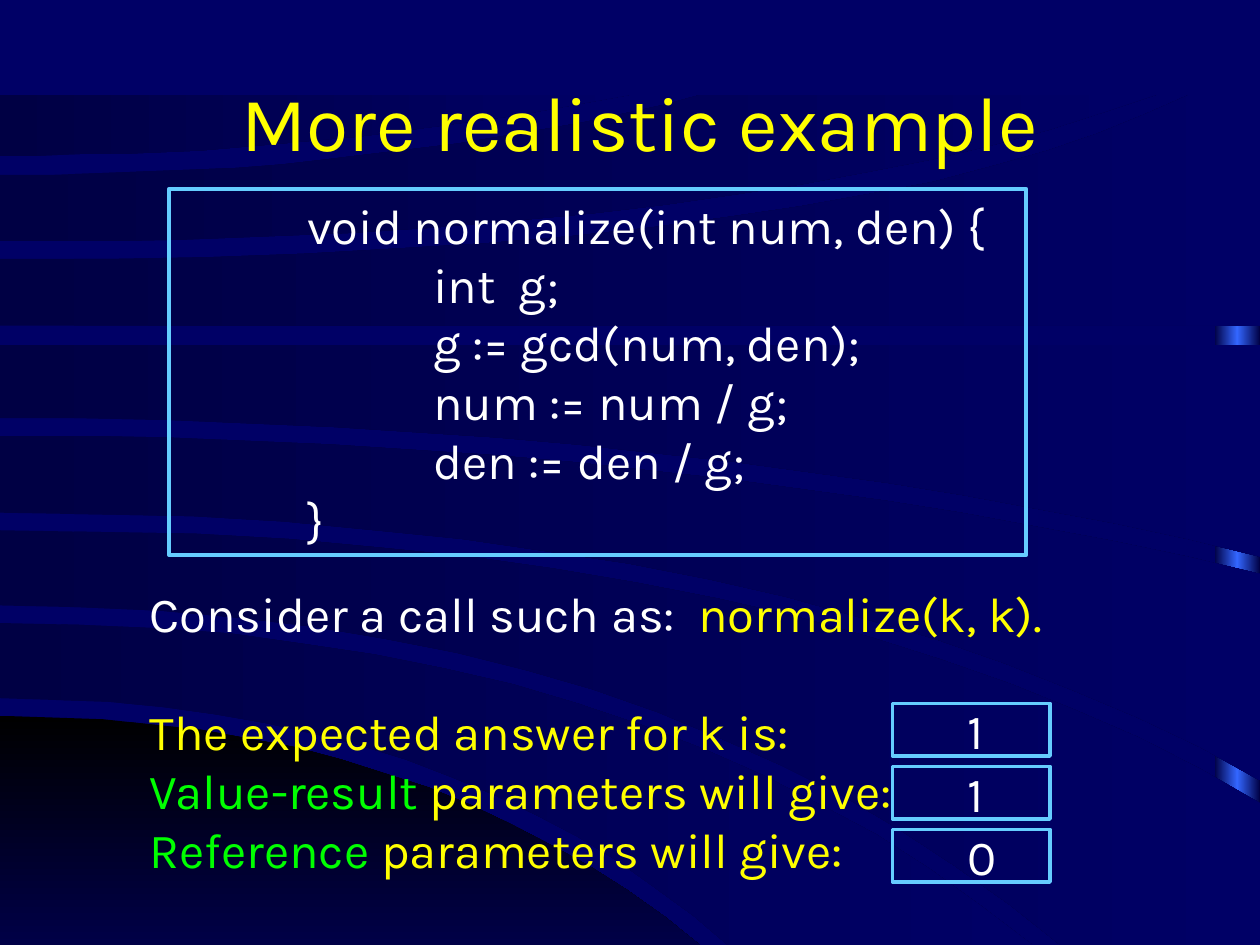
from copy import deepcopy

from pptx import Presentation
from pptx.dml.color import RGBColor
from pptx.enum.shapes import MSO_SHAPE
from pptx.enum.text import MSO_ANCHOR, PP_ALIGN
from pptx.oxml.ns import qn
from pptx.util import Pt

RECTANGLE = MSO_SHAPE.RECTANGLE
TOP, MIDDLE = MSO_ANCHOR.TOP, MSO_ANCHOR.MIDDLE
LEFT, CENTER = PP_ALIGN.LEFT, PP_ALIGN.CENTER

WIDTH, HEIGHT = 720, 540
FONT = "Karla"
NAVY, DARK_NAVY = "000066", "000044"
WHITE, YELLOW, GREEN, SKY = "FFFFFF", "FFFF00", "00FF00", "66CCFF"

# Upper and lower edge of each sweep: start y, x where it bends, end x, end y
HILL = (409, 240, 400, 540), (540, 200, 400, 540)
BANDS = [
    ((356, 365, 590, 540), (399, 256, 416, 540)),
    ((303, 460, 720, 459), (346, 375, 606, 540)),
    ((249, 384, 720, 328), (293, 450, 720, 446)),
    ((197, 360, 720, 197), (239, 390, 720, 318)),
    ((148, 492, 680, 54), (186, 360, 720, 186)),
    ((100, 224, 401, 54), (138, 430, 661, 54)),
    ((54, 180, 361, 54), (89, 186, 361, 54)),
]

CODE = [
    "\tvoid normalize(int num, den) {",
    "\t\tint  g;",
    "\t\tg := gcd(num, den);",
    "\t\tnum := num / g;",
    "\t\tden := den / g;",
    "\t}",
]
CALL = [("Consider a call such as:  ", WHITE), ("normalize(k, k).", YELLOW)]
QUESTIONS = [
    [("The expected answer for k is:", YELLOW)],
    [("Value-result", GREEN), (" parameters will give:", YELLOW)],
    [("Reference", GREEN), (" parameters will give:", YELLOW)],
]
ANSWERS = ["1", "1", "0"]


def rgb(color):
    return RGBColor.from_string(color)


def fill_gradient(shape, colors, angle=0):
    """Fill with evenly spaced gradient stops and no outline."""
    shape.shadow.inherit = False
    shape.line.fill.background()
    shape.fill.gradient()
    shape.fill.gradient_angle = angle
    stop_list = shape._element.spPr.find(".//" + qn("a:gsLst"))
    for _ in colors[2:]:
        stop_list.append(deepcopy(stop_list[0]))
    for i, (stop, color) in enumerate(zip(shape.fill.gradient_stops, colors)):
        stop.position = i / (len(colors) - 1)
        stop.color.rgb = rgb(color)


def curve(start_y, bend_x, end_x, end_y, steps=16):
    """Points of a quadratic curve that leaves the left edge horizontally."""
    points = []
    for i in range(steps + 1):
        t = i / steps
        points.append((2 * t * (1 - t) * bend_x + t * t * end_x,
                       start_y + t * t * (end_y - start_y)))
    return points


def add_sweep(slide, upper, lower):
    """Area between two curves, squared off where one ends further right."""
    top_edge, bottom_edge = curve(*upper), curve(*lower)
    (near_x, near_y), (far_x, far_y) = sorted([top_edge[-1], bottom_edge[-1]])
    points = top_edge + [(far_x, near_y)] + bottom_edge[::-1]
    builder = slide.shapes.build_freeform(*points[0], scale=Pt(1))
    builder.add_line_segments(points[1:])
    return builder.convert_to_shape()


def add_frame(slide, left, top, width, height):
    frame = slide.shapes.add_shape(RECTANGLE, Pt(left), Pt(top), Pt(width), Pt(height))
    frame.shadow.inherit = False
    frame.fill.background()
    frame.line.color.rgb = rgb(SKY)
    frame.line.width = Pt(2.25)
    return frame


def style(font, color, size=28):
    font.name, font.size, font.color.rgb = FONT, Pt(size), rgb(color)


def write_lines(text_frame, lines):
    """Write lines, each a list of (text, color) parts."""
    for i, parts in enumerate(lines):
        paragraph = text_frame.paragraphs[0] if i == 0 else text_frame.add_paragraph()
        paragraph.alignment = LEFT
        for text, color in parts:
            run = paragraph.add_run()
            run.text = text
            style(run.font, color)


def add_backdrop(slide):
    slide.background.fill.solid()
    slide.background.fill.fore_color.rgb = rgb(NAVY)
    # Bright strip, visible only between the bands
    strip = slide.shapes.add_shape(RECTANGLE, Pt(694), Pt(55), Pt(26), Pt(HEIGHT - 55))
    fill_gradient(strip, [DARK_NAVY, "3366FF", DARK_NAVY])
    fill_gradient(add_sweep(slide, *HILL), ["000000", "000047"], angle=270)
    for upper, lower in BANDS:
        fill_gradient(add_sweep(slide, upper, lower), [DARK_NAVY, NAVY])


def add_title(slide, left, top, width, height):
    title = slide.shapes.title
    title.left, title.top, title.width, title.height = map(Pt, (left, top, width, height))
    title.text_frame.text = "More realistic example"
    title.text_frame.vertical_anchor = MIDDLE
    paragraph = title.text_frame.paragraphs[0]
    paragraph.alignment = CENTER
    style(paragraph.runs[0].font, YELLOW, 44)
    slide.shapes._spTree.append(title._element)  # in front of the backdrop


def add_code(slide, left, top, width, height):
    listing = add_frame(slide, left, top, width, height).text_frame
    listing.word_wrap = True
    listing.vertical_anchor = TOP
    write_lines(listing, [[(line, WHITE)] for line in CODE])
    for paragraph in listing.paragraphs:
        tabs = paragraph._p.get_or_add_pPr().makeelement(qn("a:tabLst"), {})
        paragraph._p.pPr.append(tabs)
        for stop in (72, 144):
            tabs.append(tabs.makeelement(qn("a:tab"), {"pos": str(Pt(stop)), "algn": "l"}))


def add_questions(slide, left, top, width, height):
    box = slide.shapes.add_textbox(Pt(left), Pt(top), Pt(width), Pt(height)).text_frame
    box.word_wrap = True
    write_lines(box, [CALL] + QUESTIONS)
    box.paragraphs[1].space_before = Pt(33.6)


def add_answers(slide, left, top, width, height, pitch):
    for i, answer in enumerate(ANSWERS):
        cell = add_frame(slide, left, top + i * pitch, width, height).text_frame
        cell.margin_left = Pt(43)
        cell.margin_top = cell.margin_bottom = 0
        cell.vertical_anchor = MIDDLE
        cell.word_wrap = True
        write_lines(cell, [[(answer, WHITE)]])


def main():
    deck = Presentation()
    deck.slide_width, deck.slide_height = Pt(WIDTH), Pt(HEIGHT)
    slide = deck.slides.add_slide(deck.slide_layouts[5])
    add_backdrop(slide)
    add_title(slide, 60, 24, 612, 90)
    add_code(slide, 96.5, 108, 490, 209)
    add_questions(slide, 78.5, 330, 540, 175.5)
    add_answers(slide, 510, 402, 90, 30, pitch=36)
    deck.save("out.pptx")


if __name__ == "__main__":
    main()
